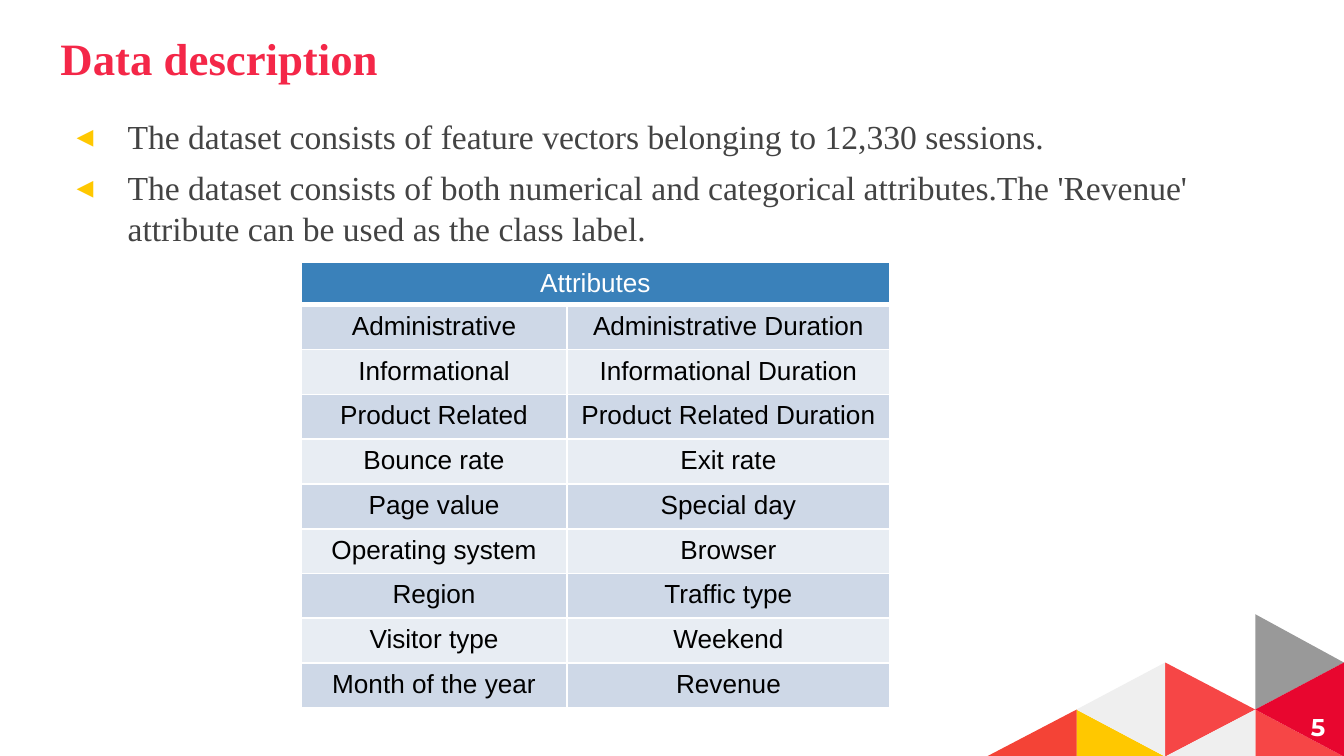
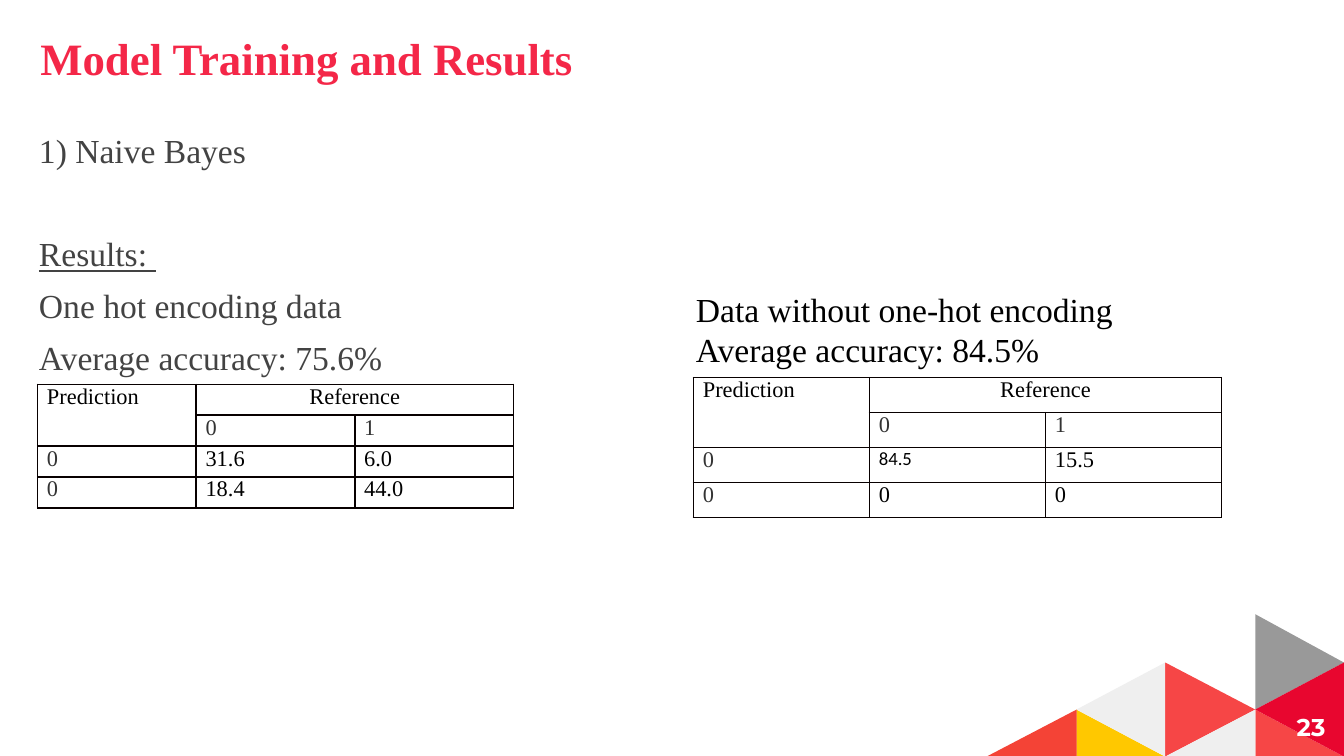
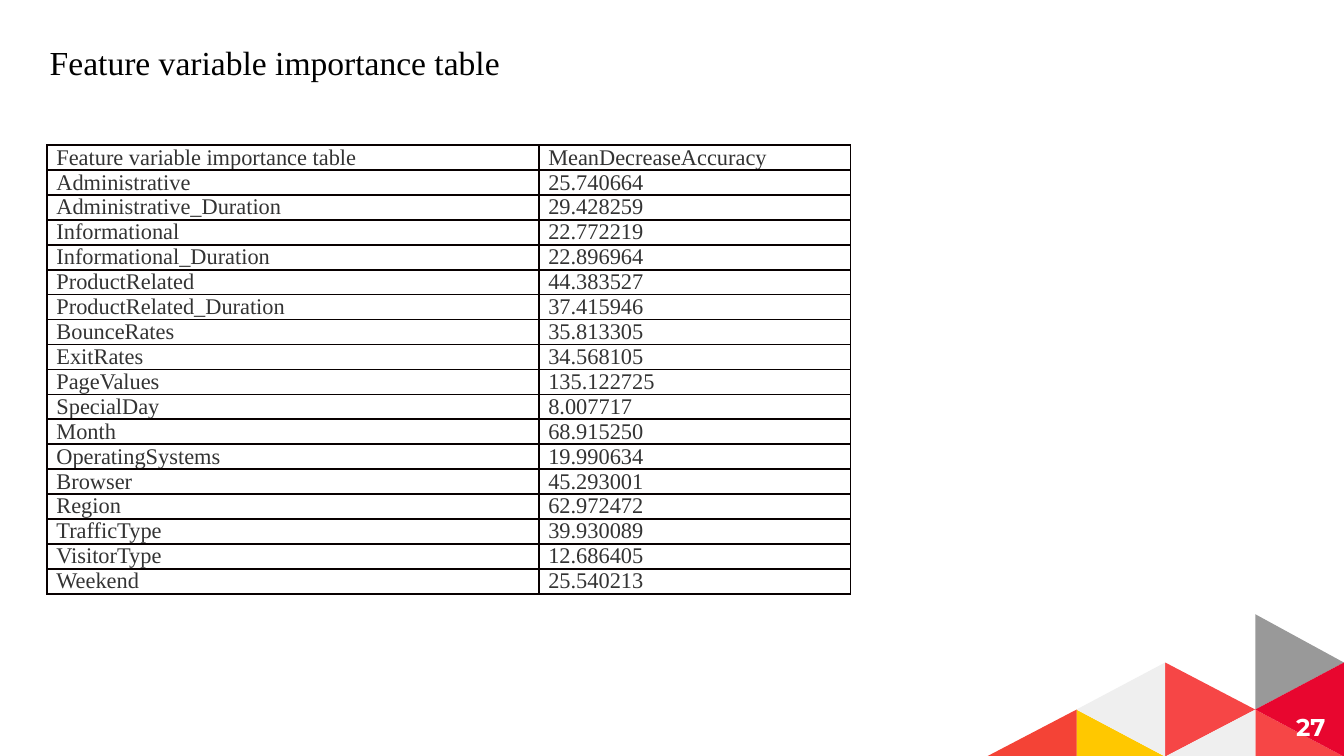
from lxml.etree import SubElement
from pptx import Presentation
from pptx.dml.color import RGBColor
from pptx.enum.text import MSO_ANCHOR as Anchor, MSO_AUTO_SIZE as AutoSize, PP_ALIGN as Align
from pptx.oxml.ns import qn
from pptx.util import Inches, Pt

WHITE = RGBColor(0xFF, 0xFF, 0xFF)
BLACK = RGBColor(0x00, 0x00, 0x00)
TITLE_RED = RGBColor(0xF4, 0x27, 0x48)
BODY_GRAY = RGBColor(0x43, 0x43, 0x43)
LABEL_GRAY = RGBColor(0x33, 0x33, 0x33)
GRID_BLACK = RGBColor(0x08, 0x00, 0x00)
HEADER_BLUE = RGBColor(0x3A, 0x81, 0xBA)
BAND_DARK = RGBColor(0xCE, 0xD8, 0xE7)
BAND_LIGHT = RGBColor(0xE8, 0xED, 0xF3)
GRAY = RGBColor(0x99, 0x99, 0x99)
PALE = RGBColor(0xEF, 0xEF, 0xEF)
YELLOW = RGBColor(0xFF, 0xC8, 0x00)
CORAL = RGBColor(0xF6, 0x46, 0x46)
CRIMSON = RGBColor(0xE8, 0x06, 0x2F)
ORANGE_RED = RGBColor(0xF4, 0x43, 0x36)

SERIF = "Times New Roman"
TRIANGLE_X = [7.34, 8.01, 8.67, 9.34, 10]
TRIANGLE_Y = [4.57, 4.93, 5.28, 5.63]
TRIANGLES = [
    (GRAY, [(3, 0), (3, 2), (4, 1)]),
    (YELLOW, [(1, 2), (1, 3), (2, 3)]),
    (CORAL, [(2, 1), (2, 3), (3, 2)]),
    (CORAL, [(3, 2), (3, 3), (4, 3)]),
    (PALE, [(2, 1), (1, 2), (2, 3)]),
    (PALE, [(3, 2), (2, 3), (3, 3)]),
    (CRIMSON, [(4, 1), (3, 2), (4, 3)]),
    (ORANGE_RED, [(1, 2), (0, 3), (1, 3)]),
]

ATTRIBUTES = [
    ("Administrative", "Administrative Duration"),
    ("Informational", "Informational Duration"),
    ("Product Related", "Product Related Duration"),
    ("Bounce rate", "Exit rate"),
    ("Page value", "Special day"),
    ("Operating system", "Browser"),
    ("Region", "Traffic type"),
    ("Visitor type", "Weekend"),
    ("Month of the year", "Revenue"),
]

IMPORTANCE = [
    ("Feature variable importance table", "MeanDecreaseAccuracy"),
    ("Administrative", "25.740664"),
    ("Administrative_Duration", "29.428259"),
    ("Informational", "22.772219"),
    ("Informational_Duration", "22.896964"),
    ("ProductRelated", "44.383527"),
    ("ProductRelated_Duration", "37.415946"),
    ("BounceRates", "35.813305"),
    ("ExitRates", "34.568105"),
    ("PageValues", "135.122725"),
    ("SpecialDay", "8.007717"),
    ("Month", "68.915250"),
    ("OperatingSystems", "19.990634"),
    ("Browser", "45.293001"),
    ("Region", "62.972472"),
    ("TrafficType", "39.930089"),
    ("VisitorType", "12.686405"),
    ("Weekend", "25.540213"),
]


def set_font(paragraph, size, color, name=SERIF, bold=False):
    font = paragraph.font
    font.name, font.size, font.bold = name, Pt(size), bold
    font.color.rgb = color


def place(shape, left, top, width, height):
    shape.left, shape.top = Inches(left), Inches(top)
    shape.width, shape.height = Inches(width), Inches(height)


def set_frame(frame, anchor=Anchor.TOP):
    frame.margin_left = frame.margin_right = Inches(0.1)
    frame.margin_top = frame.margin_bottom = Inches(0.1)
    frame.word_wrap = True
    frame.auto_size = AutoSize.NONE
    frame.vertical_anchor = anchor


def add_triangles(slide):
    for color, corners in TRIANGLES:
        points = [(Inches(TRIANGLE_X[column]), Inches(TRIANGLE_Y[row])) for column, row in corners]
        builder = slide.shapes.build_freeform(*points[0])
        builder.add_line_segments(points[1:], close=True)
        shape = builder.convert_to_shape()
        shape.shadow.inherit = False
        shape.fill.solid()
        shape.fill.fore_color.rgb = color
        shape.line.fill.background()


def add_page_number(slide, number):
    box = slide.shapes.add_textbox(Inches(9.36), Inches(5.19), Inches(0.6), Inches(0.43))
    set_frame(box.text_frame, Anchor.MIDDLE)
    paragraph = box.text_frame.paragraphs[0]
    paragraph.text = number
    paragraph.alignment = Align.RIGHT
    set_font(paragraph, 13, WHITE, "Montserrat", True)


def add_slide(presentation, layout, number, title, left, top, size=24, color=TITLE_RED, bold=True):
    slide = presentation.slides.add_slide(presentation.slide_layouts[layout])
    add_triangles(slide)
    shape = slide.shapes.title
    place(shape, left, top, 7.91, 0.73)
    set_frame(shape.text_frame)
    paragraph = shape.text_frame.paragraphs[0]
    paragraph.text = title
    paragraph.alignment = Align.LEFT
    set_font(paragraph, size, color, bold=bold)
    add_page_number(slide, number)
    return slide


def set_bullet(paragraph, character, margin, indent):
    properties = paragraph._p.get_or_add_pPr()
    properties.set("marL", str(Inches(margin)))
    properties.set("indent", str(Inches(indent)))
    if character:
        color = SubElement(properties, qn("a:buClr"))
        SubElement(color, qn("a:srgbClr"), val=str(YELLOW))
        SubElement(properties, qn("a:buChar"), char=character)
    else:
        SubElement(properties, qn("a:buNone"))


def fill_body(slide, area, lines, character=None, margin=0.12, indent=0):
    body = slide.placeholders[1]
    place(body, *area)
    frame = body.text_frame
    set_frame(frame)
    frame.text = "\n".join(lines)
    for paragraph in frame.paragraphs:
        paragraph.space_before = Pt(6)
        set_font(paragraph, 18, BODY_GRAY)
        set_bullet(paragraph, character, margin, indent)
    return frame.paragraphs


def add_table(slide, left, top, widths, heights):
    frame = slide.shapes.add_table(len(heights), len(widths), Inches(left), Inches(top),
                                   Inches(sum(widths)), Inches(sum(heights)))
    table = frame.table
    table.first_row = table.horz_banding = False
    for column, width in zip(table.columns, widths):
        column.width = Inches(width)
    for row, height in zip(table.rows, heights):
        row.height = Inches(height)
    return table


def set_borders(cell, color, bottom=1):
    properties = cell._tc.get_or_add_tcPr()
    for side, width in (("L", 1), ("R", 1), ("T", 1), ("B", bottom)):
        line = SubElement(properties, qn(f"a:ln{side}"), w=str(Pt(width)))
        fill = SubElement(line, qn("a:solidFill"))
        SubElement(fill, qn("a:srgbClr"), val=str(color))


def write_cell(cell, text, size, color, name=SERIF, alignment=Align.LEFT):
    paragraph = cell.text_frame.paragraphs[0]
    paragraph.text = text
    paragraph.alignment = alignment
    set_font(paragraph, size, color, name)


def add_banded_table(slide, left, top, widths, header, rows):
    table = add_table(slide, left, top, widths, [0.31] + [3 / len(rows)] * len(rows))
    table.cell(0, 0).merge(table.cell(0, len(widths) - 1))
    for row, texts in enumerate([(header, "")] + rows):
        for column, text in enumerate(texts):
            cell = table.cell(row, column)
            set_borders(cell, WHITE, 1 if row else 3)
            cell.fill.solid()
            band = BAND_DARK if row % 2 else BAND_LIGHT
            cell.fill.fore_color.rgb = band if row else HEADER_BLUE
            write_cell(cell, text, 14, BLACK if row else WHITE, "Arial", Align.CENTER)


def add_ruled_table(slide, left, top, widths, height, rows):
    table = add_table(slide, left, top, widths, [height] * len(rows))
    for row, texts in enumerate(rows):
        for column, text in enumerate(texts):
            cell = table.cell(row, column)
            cell.margin_left = cell.margin_right = Inches(0.07)
            cell.margin_top = cell.margin_bottom = 0
            set_borders(cell, GRID_BLACK)
            cell.fill.background()
            write_cell(cell, text, 12, LABEL_GRAY)
    return table


def add_confusion_table(slide, left, top, width, height, values):
    rows = [("Prediction", "Reference", ""), ("", "0", "1")]
    rows += [("0", *pair) for pair in values]
    table = add_ruled_table(slide, left, top, [width] * 3, height, rows)
    table.cell(0, 0).merge(table.cell(1, 0))
    table.cell(0, 1).merge(table.cell(0, 2))
    table.cell(0, 1).text_frame.paragraphs[0].alignment = Align.CENTER
    for row, column in [(0, 0), (0, 1), (2, 1), (2, 2), (3, 1), (3, 2)]:
        table.cell(row, column).text_frame.paragraphs[0].font.color.rgb = BLACK
    return table


def add_note(slide, left, top, width, height, lines):
    box = slide.shapes.add_textbox(Inches(left), Inches(top), Inches(width), Inches(height))
    box.text_frame.word_wrap = True
    box.text_frame.text = "\n".join(lines)
    for paragraph in box.text_frame.paragraphs:
        set_font(paragraph, 18, BLACK)


def build_data_description(presentation):
    slide = add_slide(presentation, 1, "5", "Data description", 0.35, 0.13)
    fill_body(slide, (0.35, 0.76, 9.27, 4.44), [
        "The dataset consists of feature vectors belonging to 12,330 sessions.",
        "The dataset consists of both numerical and categorical attributes."
        "The 'Revenue' attribute can be used as the class label.",
    ], "◂", 0.5, -0.38)
    add_banded_table(slide, 2.24, 1.95, [1.98, 2.4], "Attributes", ATTRIBUTES)


def build_model_results(presentation):
    slide = add_slide(presentation, 1, "23", "Model Training and Results", 0.2, 0.13)
    paragraphs = fill_body(slide, (0.07, 0.87, 9.15, 3.9), [
        "1) Naive Bayes", "Results: ", "One hot encoding data", "Average accuracy: 75.6%",
    ])
    paragraphs[1].space_before = Pt(33.6)
    paragraphs[1].font.underline = True
    add_confusion_table(slide, 0.28, 2.86, 1.18, 0.23, [("31.6", "6.0"), ("18.4", "44.0")])
    add_note(slide, 5.08, 2.1, 3.58, 0.71,
             ["Data without one-hot encoding", "Average accuracy: 84.5%"])
    table = add_confusion_table(slide, 5.16, 2.81, 1.31, 0.26, [("84.5", "15.5"), ("0", "0")])
    set_font(table.cell(2, 1).text_frame.paragraphs[0], 10, BLACK, "Calibri")


def build_feature_importance(presentation):
    slide = add_slide(presentation, 5, "27", "Feature variable importance table",
                      0.27, 0.21, 18, BLACK, False)
    add_ruled_table(slide, 0.35, 1.08, [3.66, 2.32], 0.18, IMPORTANCE)


def main():
    presentation = Presentation()
    presentation.slide_width = Inches(10)
    presentation.slide_height = presentation.slide_width * 9 // 16
    build_data_description(presentation)
    build_model_results(presentation)
    build_feature_importance(presentation)
    presentation.save("out.pptx")


if __name__ == "__main__":
    main()
